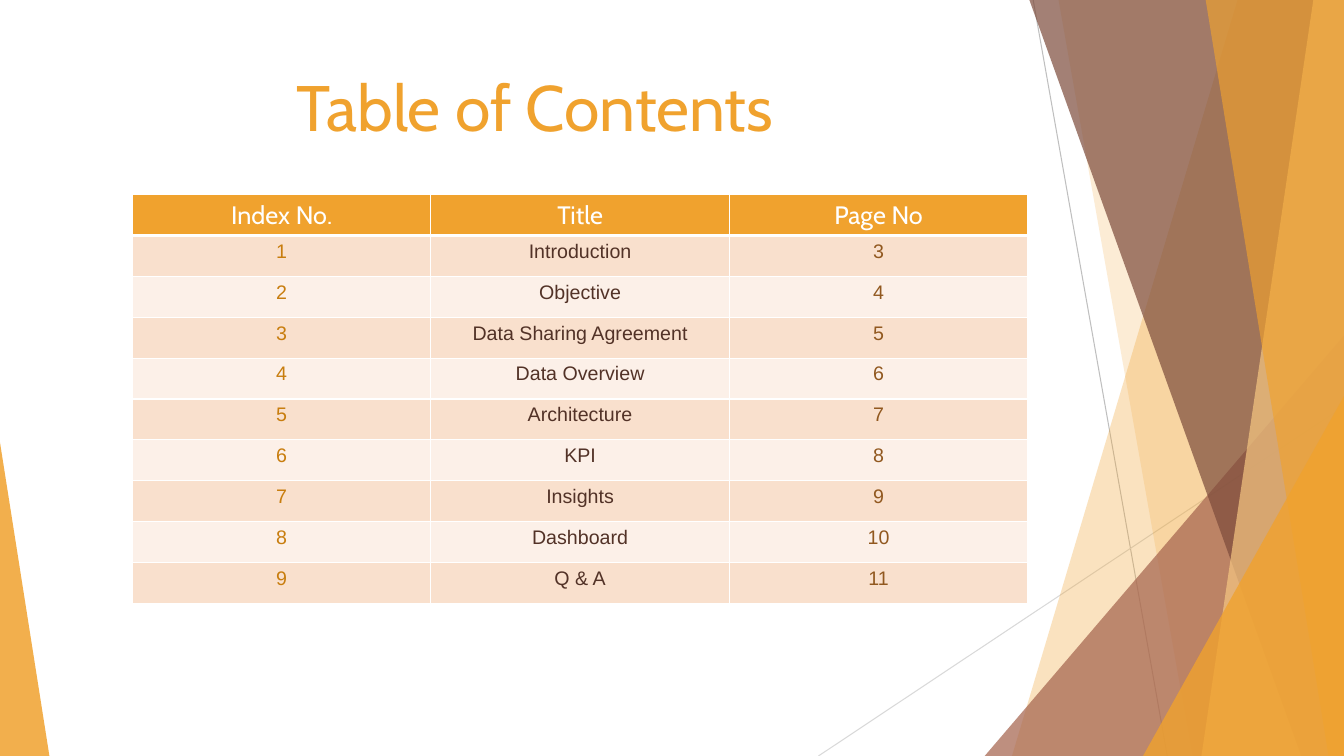
from lxml.etree import SubElement
from pptx import Presentation
from pptx.dml.color import RGBColor
from pptx.enum.shapes import MSO_CONNECTOR, MSO_SHAPE
from pptx.enum.text import MSO_ANCHOR, MSO_AUTO_SIZE, PP_ALIGN
from pptx.oxml import parse_xml
from pptx.oxml.ns import nsdecls, qn
from pptx.util import Pt

WHITE = RGBColor(0xFF, 0xFF, 0xFF)
ORANGE = RGBColor(0xF0, 0xA2, 0x2E)
PALE_ORANGE = RGBColor(0xF6, 0xC7, 0x82)
DARK_ORANGE = RGBColor(0xC8, 0x7D, 0x0E)
RUST = RGBColor(0xA5, 0x64, 0x4E)
BROWN = RGBColor(0x7C, 0x4B, 0x3B)
DARK_BROWN = RGBColor(0x52, 0x32, 0x27)
OCHRE = RGBColor(0x91, 0x58, 0x1F)
PEACH = RGBColor(0xF9, 0xE0, 0xCD)
PALE_PEACH = RGBColor(0xFC, 0xF0, 0xE8)
GREY = RGBColor(0xBF, 0xBF, 0xBF)
LIGHT_GREY = RGBColor(0xD9, 0xD9, 0xD9)
WIDTH, HEIGHT = 960, 540


def paint(shape, color, opacity):
    """Fill a facet with a see-through colour, without outline or shadow."""
    shape.shadow.inherit = False
    shape.line.fill.background()
    shape.fill.solid()
    shape.fill.fore_color.rgb = color
    color_node = shape.fill._xPr.find(qn("a:solidFill"))[0]
    SubElement(color_node, qn("a:alpha"), val=str(opacity * 1000))


def add_border(cell, side, width):
    """Draw one white edge of a table cell."""
    cell._tc.get_or_add_tcPr().append(parse_xml(
        f'<a:{side} {nsdecls("a")} w="{Pt(width)}"><a:solidFill>'
        f'<a:srgbClr val="{WHITE}"/></a:solidFill></a:{side}>'))


deck = Presentation()
deck.slide_width, deck.slide_height = Pt(WIDTH), Pt(HEIGHT)
page = deck.slides.add_slide(deck.slide_layouts[5])

# Thin background lines
for start_x, start_y, end_x, color in [(738, 0, 833.8, GREY),
                                       (WIDTH, 290.2, 584.6, LIGHT_GREY)]:
    line = page.shapes.add_connector(MSO_CONNECTOR.STRAIGHT, Pt(start_x),
                                     Pt(start_y), Pt(end_x), Pt(HEIGHT))
    line.line.color.rgb = color
    line.line.width = Pt(0.75)
    SubElement(line._element.spPr, qn("a:effectLst"))

# Facets from back to front: bands hold the x of their slanted edge at top and
# bottom, triangles hold left, top, width and the place of their peak
facets = [
    ((884.2, 722.9), ORANGE, 30),
    ((756, 851.8), ORANGE, 20),
    ((703.4, 239.8, 256.6, 1), RUST, 72),
    ((735.1, 929.5), BROWN, 70),
    ((938.2, 858.2), PALE_ORANGE, 70),
    ((861.1, 949), ORANGE, 65),
    ((816.5, 283, 143.5, 1), ORANGE, 80),
    ((0, 316.1, 35.3, 0), ORANGE, 85),
]
for outline, color, opacity in facets:
    if len(outline) == 2:
        top_x, bottom_x = outline
        builder = page.shapes.build_freeform(Pt(top_x), Pt(-0.6))
        builder.add_line_segments([(Pt(WIDTH), Pt(-0.6)), (Pt(WIDTH), Pt(HEIGHT)),
                                   (Pt(bottom_x), Pt(HEIGHT))])
        facet = builder.convert_to_shape()
    else:
        left, top, width, peak = outline
        facet = page.shapes.add_shape(MSO_SHAPE.ISOSCELES_TRIANGLE, Pt(left),
                                      Pt(top), Pt(width), Pt(HEIGHT - top))
        facet.adjustments[0] = peak
    paint(facet, color, opacity)

# Title
title = page.shapes.title
title.left, title.top, title.width, title.height = Pt(159.8), Pt(31.7), Pt(399.6), Pt(87.8)
title.text = "Table of Contents"
frame = title.text_frame
frame.word_wrap = True
frame.auto_size = MSO_AUTO_SIZE.NONE
frame.vertical_anchor = MSO_ANCHOR.MIDDLE
para = frame.paragraphs[0]
para.alignment = PP_ALIGN.RIGHT
para.space_after = Pt(6)
para.font.name, para.font.size = "Cabin", Pt(45.9)
para.font.color.rgb = ORANGE

# Contents table: index and page number follow from the order of the topics
topics = ["Introduction", "Objective", "Data Sharing Agreement", "Data Overview",
          "Architecture", "KPI", "Insights", "Dashboard", "Q & A"]
rows = [("Index No.", "Title", "Page No")]
rows += [(str(index), topic, str(index + 2)) for index, topic in enumerate(topics, 1)]
table = page.shapes.add_table(len(rows), 3, Pt(94.6), Pt(139),
                              Pt(639.6), Pt(29.2 * len(rows))).table
for row_index, row in enumerate(rows):
    is_header = row_index == 0
    for column, text in enumerate(row):
        cell = table.cell(row_index, column)
        cell.text = text
        for side in ("lnL", "lnR", "lnT", "lnB"):
            thick = (is_header and side == "lnB") or (row_index == 1 and side == "lnT")
            add_border(cell, side, 3 if thick else 1)
        cell.fill.solid()
        para = cell.text_frame.paragraphs[0]
        para.alignment = PP_ALIGN.CENTER
        para.font.bold = False
        if is_header:
            cell.fill.fore_color.rgb = ORANGE
            para.font.name, para.font.size = "Cabin", Pt(18)
            para.font.color.rgb = WHITE
        else:
            cell.fill.fore_color.rgb = PEACH if row_index % 2 else PALE_PEACH
            para.font.name, para.font.size = "Arial", Pt(14)
            para.font.color.rgb = (DARK_ORANGE, DARK_BROWN, OCHRE)[column]

deck.save("out.pptx")
